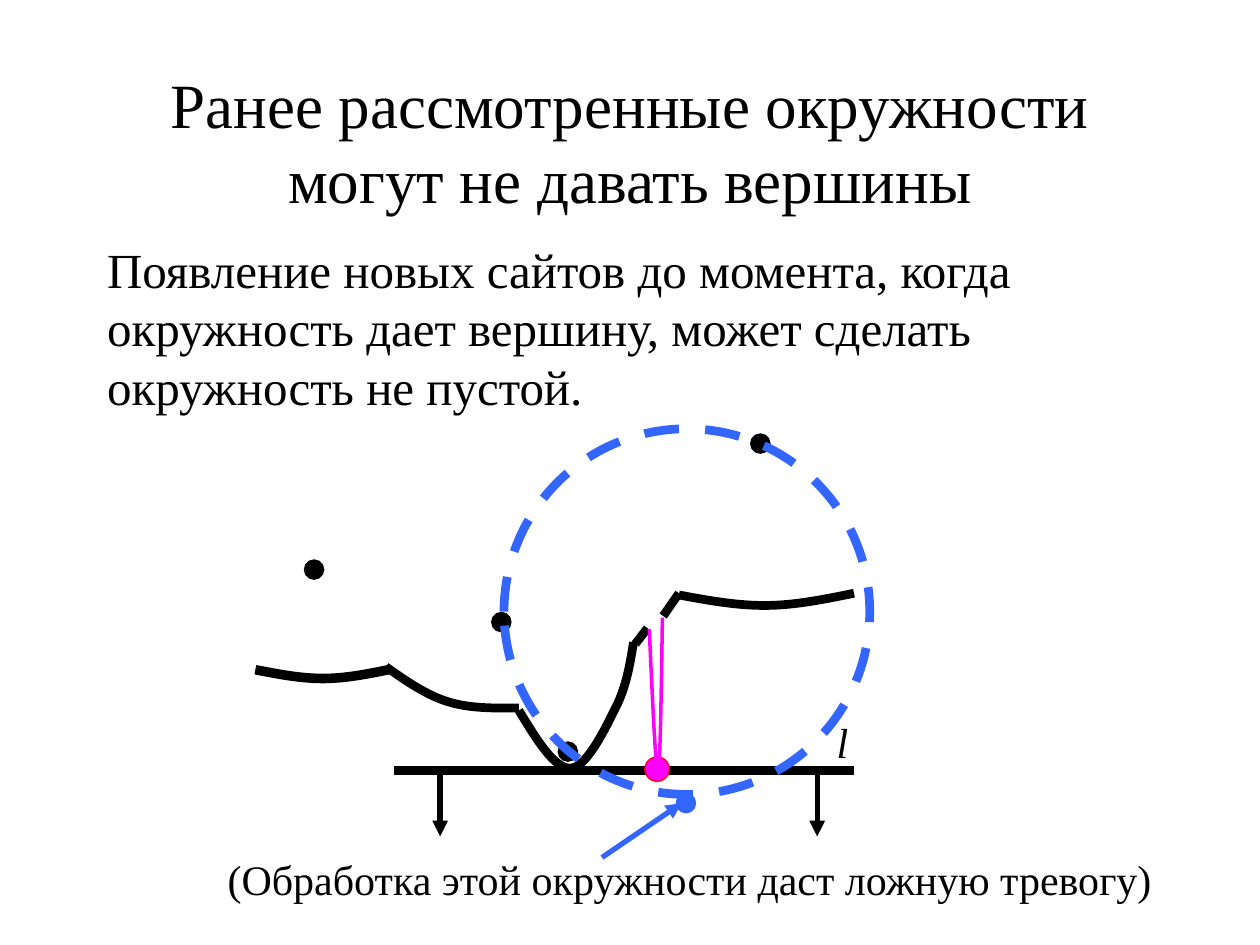
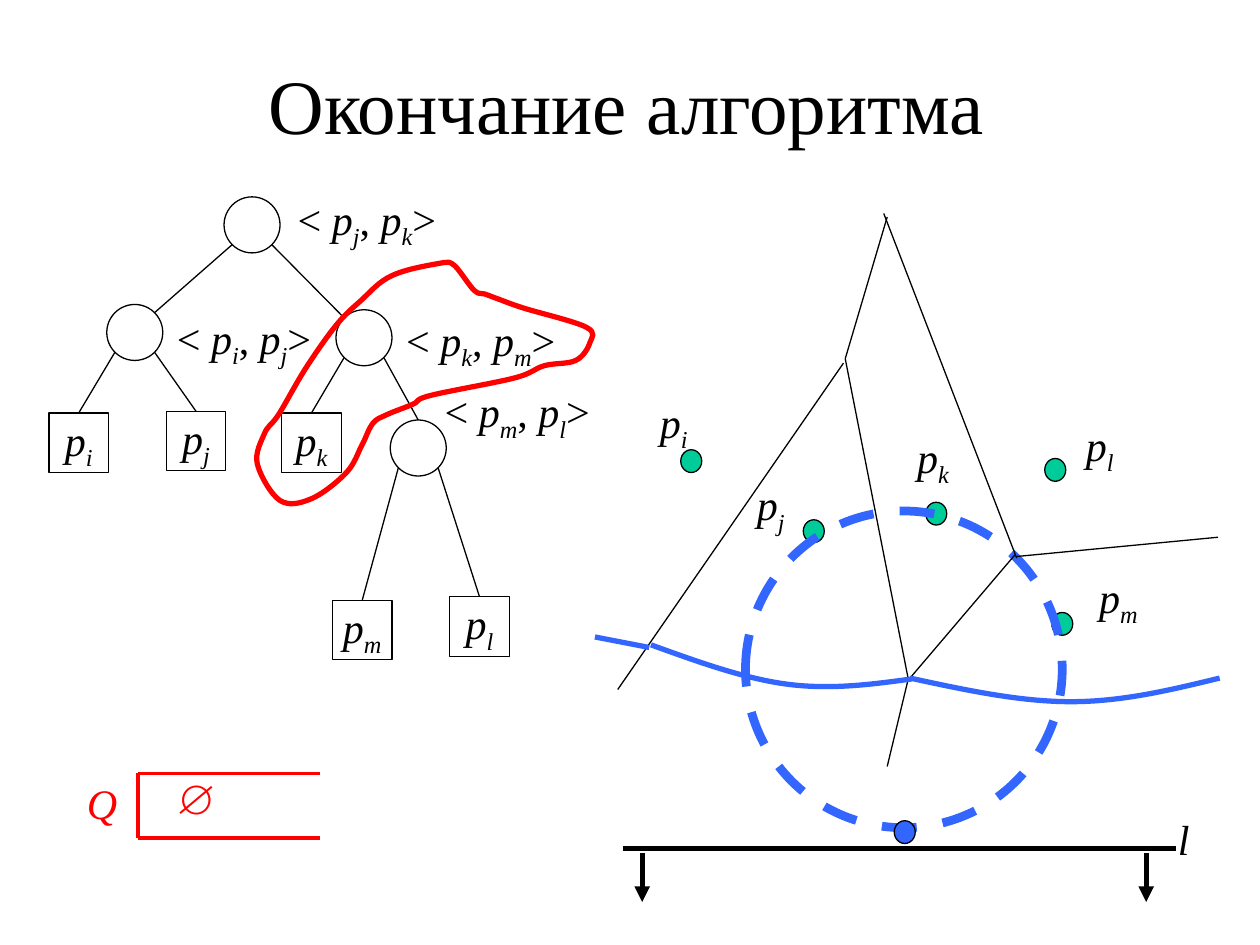
"""Two lecture slides on the sweep-line algorithm for Voronoi diagrams."""
from dataclasses import dataclass
from itertools import pairwise

from lxml import etree
from pptx import Presentation
from pptx.dml.color import RGBColor
from pptx.enum import dml, shapes, text
from pptx.oxml import ns
from pptx.util import Pt


@dataclass(frozen=True)
class Theme:
    """Colours, font and sizes shared by the slides."""
    black: str = "000000"
    blue: str = "3366FF"
    red: str = "FF0000"
    magenta: str = "FF00FF"
    green: str = "00CC99"
    font: str = "Times New Roman"
    title: int = 44
    long_title: int = 36
    body: int = 28
    label: int = 24
    thin: float = 0.75
    medium: float = 2
    thick: float = 3
    heavy: float = 5


T = Theme()
ITALIC = {"italic": True}
SUBSCRIPT = {"italic": True, "baseline": -25000}
NODE, LEAF, LABEL_H = 32, 34, 36


def write(tf, runs, size=T.label, color=T.black, align=None, anchor=None, wrap=True,
          fit=text.MSO_AUTO_SIZE.NONE, italic=False, before=None):
    """Write a string or a list of (text, format) runs into a text frame."""
    tf.word_wrap, tf.auto_size = wrap, fit
    if anchor is not None:
        tf.vertical_anchor = anchor
    p = tf.paragraphs[0]
    p.alignment = align
    if before is not None:
        p.space_before = Pt(before)
    for content, fmt in [(runs, {})] if isinstance(runs, str) else runs:
        r = p.add_run()
        r.text = content
        r.font.name, r.font.size = T.font, Pt(size)
        r.font.color.rgb = RGBColor.from_string(color)
        r.font.italic = fmt.get("italic", italic)
        if "baseline" in fmt:
            r._r.get_or_add_rPr().set("baseline", str(fmt["baseline"]))
    return p


def site(index):
    """Return the runs of a site name with its subscript."""
    return [("p", ITALIC), (index, SUBSCRIPT)]


def pair(left, right):
    """Return the runs of a breakpoint between two sites."""
    return [("< ", {}), *site(left), (", ", {}), *site(right), (">", {})]


def place(sp, left, top, width, height):
    """Move and size a shape."""
    sp.left, sp.top, sp.width, sp.height = map(Pt, (left, top, width, height))


def add_title(slide, content, size, *box):
    """Fill and place the title placeholder."""
    sp = slide.shapes.title
    place(sp, *box)
    write(sp.text_frame, content, size=size, align=text.PP_ALIGN.CENTER,
          anchor=text.MSO_ANCHOR.MIDDLE)


def add_body(slide, content, *box):
    """Fill and place the body placeholder without a bullet."""
    sp = slide.placeholders[1]
    place(sp, *box)
    p = write(sp.text_frame, content, size=T.body, before=5.6)
    p_pr = p._p.get_or_add_pPr()
    p_pr.set("marL", "0")
    p_pr.set("indent", "0")
    etree.SubElement(p_pr, ns.qn("a:buNone"))


def add_label(slide, runs, left, top, width, **fmt):
    """Add an unwrapped line of text."""
    sp = slide.shapes.add_textbox(Pt(left), Pt(top), Pt(width), Pt(LABEL_H))
    write(sp.text_frame, runs, wrap=False, fit=text.MSO_AUTO_SIZE.SHAPE_TO_FIT_TEXT, **fmt)


def outline(sp, color, width):
    """Set the line of a shape or connector."""
    sp.line.color.rgb = RGBColor.from_string(color)
    sp.line.width = Pt(width)


def add_figure(slide, kind, left, top, width, height, fill=None, color=T.black, weight=T.thin):
    """Add a flat preset shape."""
    sp = slide.shapes.add_shape(kind, *map(Pt, (left, top, width, height)))
    sp.shadow.inherit = False
    outline(sp, color, weight)
    if fill:
        sp.fill.solid()
        sp.fill.fore_color.rgb = RGBColor.from_string(fill)
    else:
        sp.fill.background()
    return sp


def add_dot(slide, left, top, width, height=None, **fmt):
    """Add an ellipse, round unless a height is given."""
    return add_figure(slide, shapes.MSO_SHAPE.OVAL, left, top, width, height or width, **fmt)


def add_event_circle(slide, left, top, diameter):
    """Add a dashed circle through three sites."""
    sp = add_dot(slide, left, top, diameter, color=T.blue, weight=T.heavy)
    sp.line.dash_style = dml.MSO_LINE.DASH


def add_leaf(slide, index, left, top):
    """Add a tree leaf that names a site."""
    sp = add_figure(slide, shapes.MSO_SHAPE.RECTANGLE, left, top, LEAF, LEAF)
    write(sp.text_frame, site(index), wrap=False, align=text.PP_ALIGN.CENTER,
          anchor=text.MSO_ANCHOR.MIDDLE)
    return sp


def add_line(slide, x1, y1, x2, y2, color=T.black, width=T.thin, arrow=False):
    """Add a straight line, with an arrowhead at its end if asked."""
    line = slide.shapes.add_connector(shapes.MSO_CONNECTOR.STRAIGHT, *map(Pt, (x1, y1, x2, y2)))
    outline(line, color, width)
    if arrow:
        etree.SubElement(line.line._get_or_add_ln(), ns.qn("a:tailEnd"), type="triangle")
    etree.SubElement(line._element.spPr, ns.qn("a:effectLst"))
    return line


def add_branch(slide, parent, side, child, to_top=True):
    """Join a tree node to its child on the left (-1) or right (1)."""
    reach = NODE / 2 * 0.71
    x = parent.left.pt + NODE / 2 + side * reach
    y = parent.top.pt + NODE / 2 + reach
    end_x = child.left.pt + NODE / 2 - side * reach
    end_y = child.top.pt + NODE / 2 - reach
    line = add_line(slide, x, y, end_x, end_y)
    if to_top:
        line.end_connect(child, 0)


def add_curve(slide, points, color=T.black, width=T.heavy):
    """Draw a smooth Bezier curve through the points."""
    nodes = [(Pt(x), Pt(y)) for x, y in points]
    builder = slide.shapes.build_freeform(*nodes[0], scale=1.0)
    builder.add_line_segments(nodes[1:], close=False)
    sp = builder.convert_to_shape()
    sp.shadow.inherit = False
    sp.fill.background()
    outline(sp, color, width)

    at = [complex(int(pt.get("x")), int(pt.get("y"))) for pt in sp._element.iter(ns.qn("a:pt"))]
    pull = [0, *((c - a) / 6 for a, c in zip(at, at[2:])), 0]
    pull[0] = (at[1] - pull[1] - at[0]) / 2
    pull[-1] = (at[-1] - at[-2] - pull[-2]) / 2
    segments = list(sp._element.iter(ns.qn("a:lnTo")))
    for segment, (a, b), (pull_a, pull_b) in zip(segments, pairwise(at), pairwise(pull)):
        segment.tag = ns.qn("a:cubicBezTo")
        for i, control in enumerate((a + pull_a, b - pull_b)):
            pt = etree.Element(ns.qn("a:pt"), x=str(round(control.real)), y=str(round(control.imag)))
            segment.insert(i, pt)


def add_sweep_line(slide, left, right, y, width, arrows, drop, label_at):
    """Draw the sweep line with its downward arrows and name."""
    add_line(slide, left, y, right, y, width=width)
    for x in arrows:
        add_line(slide, x, y + 2.5, x, y + 2.5 + drop, width=T.thick, arrow=True)
    add_label(slide, "l", *label_at, 21, italic=True)


def build_false_alarm(prs):
    """Build the slide on circles that give no vertex."""
    slide = prs.slides.add_slide(prs.slide_layouts[1])
    add_title(slide, "Ранее рассмотренные окружности могут не давать вершины",
              T.long_title, 54, 48, 612, 65)
    add_body(slide, "Появление новых сайтов до момента, когда окружность дает вершину, "
             "может сделать окружность не пустой.", 54, 133, 612, 103)
    for left, top in [(174, 320), (281, 350), (429, 248), (319, 424)]:
        add_dot(slide, left, top, 11, fill=T.black)
    beach_arcs = [
        [(222, 382.5), (184.5, 387.5), (146, 382.5)],
        [(222, 383), (184.5, 388), (146, 383)],
        [(220.5, 381), (256, 401), (296.5, 404.5)],
        [(296.5, 406), (326, 439), (352, 404), (362, 367)],
        [(363, 368), (370, 359)],
        [(379, 352), (388, 339)],
        [(388, 340), (438, 346), (488, 339)],
    ]
    for arc in beach_arcs:
        add_curve(slide, arc)
    add_sweep_line(slide, 225, 488, 440.5, T.heavy, (251.5, 467), 35, (471, 406))
    add_dot(slide, 368.5, 432.5, 14, fill=T.magenta, color=T.red)
    add_curve(slide, [(371, 359.5), (376, 441), (378.5, 353)], T.magenta, T.medium)
    add_event_circle(slide, 288, 245, 209)
    add_label(slide, "(Обработка этой окружности даст ложную тревогу)", 123, 484, 548)
    add_line(slide, 344, 490, 389.5, 459, T.blue, T.thick, arrow=True)
    add_dot(slide, 386.5, 453.5, 11, fill=T.blue, color=T.blue)


def draw_tree(slide):
    """Draw the beach-line tree with the vanishing arc circled."""
    root, left, right, low = [add_dot(slide, x, y, NODE) for x, y in
                              [(128, 112.5), (61, 174), (192, 177), (223, 240)]]
    places = {"i": (28, 236), "j": (95, 235), "k": (161, 236), "m": (190, 343), "l": (257, 341)}
    leaf = {index: add_leaf(slide, index, *at) for index, at in places.items()}
    add_branch(slide, root, -1, left, to_top=False)
    add_branch(slide, root, 1, right, to_top=False)
    for parent, side, child in [(left, -1, leaf["i"]), (left, 1, leaf["j"]),
                                (right, -1, leaf["k"]), (right, 1, low),
                                (low, -1, leaf["m"]), (low, 1, leaf["l"])]:
        add_branch(slide, parent, side, child)
    for ends, x, y, width in [("jk", 163, 107, 95), ("ij", 94, 175, 92),
                              ("km", 225, 176, 102), ("ml", 247, 217, 99)]:
        add_label(slide, pair(*ends), x, y, width)
    vanishing = [
        (254, 150), (224, 157.5), (206, 172), (192, 186), (175, 210), (161, 234), (157, 240),
        (151, 248), (147, 265), (160, 286), (178, 285), (198, 270), (207, 254), (213, 242),
        (221, 237), (236, 231), (246, 226), (294, 216), (311, 209), (329, 206), (337, 196),
        (335, 187), (299, 176), (285, 171), (277, 168), (271, 166), (260, 152), (254, 150)]
    add_curve(slide, vanishing, T.red, T.thick)


def draw_diagram(slide):
    """Draw the sites, Voronoi edges, beach line and sweep line."""
    sites = [("i", (389, 257), (370, 223, 31)), ("j", (459, 297), (425.5, 270, 31)),
             ("k", (529, 287), (517, 243, 34)), ("l", (597, 262), (613.5, 236, 31)),
             ("m", (601, 350), (621, 323, 38))]
    for index, dot_at, label_at in sites:
        add_dot(slide, *dot_at, 12, 13, fill=T.green)
        add_label(slide, site(index), *label_at)
    add_sweep_line(slide, 356, 672, 485, T.thick, (367, 655), 28, (666, 461.5))
    add_event_circle(slide, 426, 292, 181)
    add_dot(slide, 511, 469, 12, 13, fill=T.blue)
    voronoi_edges = [(353, 394, 482, 207.5), (483, 205, 519, 388), (580, 317, 520, 387.5),
                     (581, 318, 696, 307), (505, 122, 581, 319), (507, 124, 483, 205),
                     (519, 388, 507, 438)]
    for edge in voronoi_edges:
        add_line(slide, *edge)
    for arc in [[(371, 370), (340, 364)], [(372, 368.5), (450, 391), (521, 388)],
                [(520, 387.5), (612, 401), (697, 387.5)]]:
        add_curve(slide, arc, T.blue, T.thick)


def draw_queue(slide):
    """Draw the empty event queue."""
    left, top, right, bottom = 79, 442, 183, 479
    for ends in [(left, top, right, top), (left, bottom, right, bottom), (left, top, left, bottom)]:
        add_line(slide, *ends, T.red, T.medium)
    add_label(slide, "Q", 42.5, 441, 32, color=T.red, italic=True)
    add_label(slide, "∅", 93, 438, 35, color=T.red)


def build_finish(prs):
    """Build the slide on the end of the algorithm."""
    slide = prs.slides.add_slide(prs.slide_layouts[5])
    add_title(slide, "Окончание алгоритма", T.title, 52, 14, 612, 90)
    draw_tree(slide)
    draw_diagram(slide)
    draw_queue(slide)


def main():
    """Build and save the presentation."""
    prs = Presentation()
    prs.slide_width, prs.slide_height = Pt(720), Pt(540)
    build_false_alarm(prs)
    build_finish(prs)
    prs.save("out.pptx")


if __name__ == "__main__":
    main()
